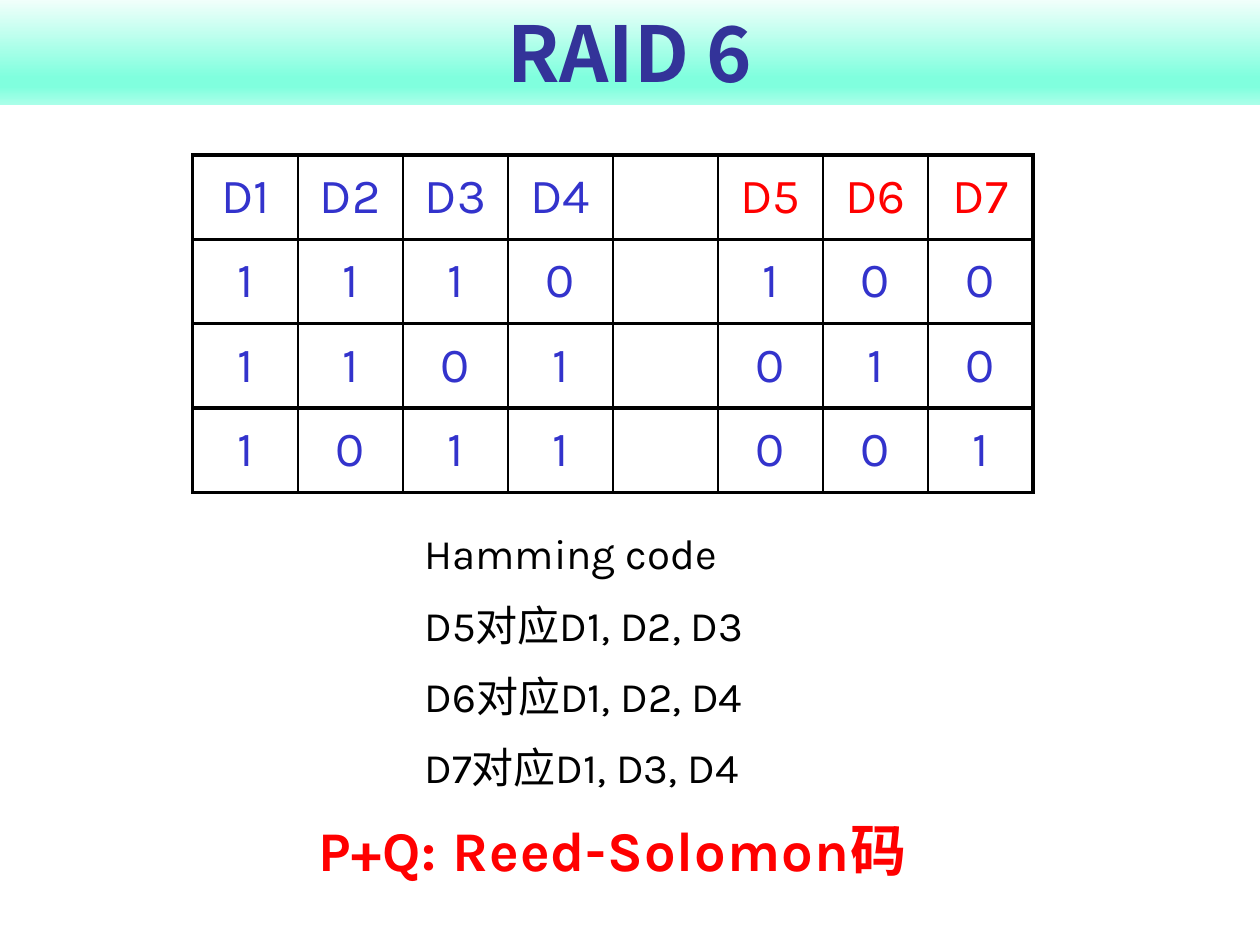
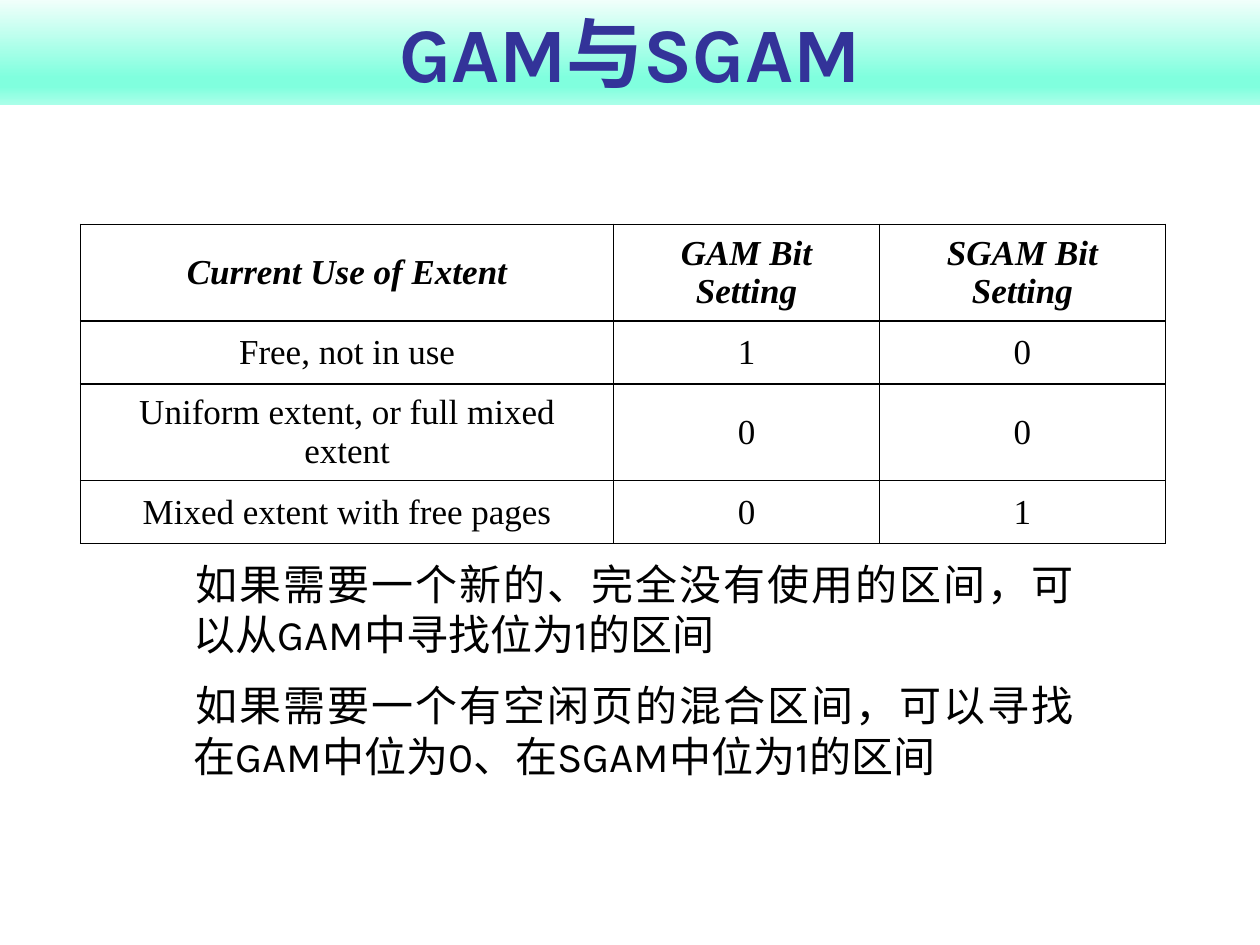
from lxml.etree import SubElement
from pptx import Presentation
from pptx.dml.color import RGBColor
from pptx.enum.shapes import MSO_SHAPE
from pptx.enum.text import MSO_ANCHOR, MSO_AUTO_SIZE, PP_ALIGN
from pptx.oxml.ns import qn
from pptx.util import Inches, Pt

BLACK = RGBColor(0x00, 0x00, 0x00)
RED = RGBColor(0xFF, 0x00, 0x00)
BLUE = RGBColor(0x33, 0x33, 0xCC)
NAVY = RGBColor(0x33, 0x33, 0x99)
MIST = RGBColor(0xF1, 0xFF, 0xFB)
MINT = RGBColor(0x80, 0xFF, 0xDE)
PALE = RGBColor(0xAA, 0xFF, 0xE9)
STOPS = [(0, MIST), (74, MINT), (83, MINT), (100, PALE)]

KARLA = "Karla"
NOTO = "Noto Sans CJK SC"
TIMES = "Times New Roman"

THIN, THICK = 1, 2.25

PARITY = [
    ["D1", "D2", "D3", "D4", "", "D5", "D6", "D7"],
    ["1", "1", "1", "0", "", "1", "0", "0"],
    ["1", "1", "0", "1", "", "0", "1", "0"],
    ["1", "0", "1", "1", "", "0", "0", "1"],
]
CODES = ["Hamming code", "D5对应D1, D2, D3", "D6对应D1, D2, D4", "D7对应D1, D3, D4"]
EXTENTS = [
    ["Current Use of Extent", "GAM Bit Setting", "SGAM Bit Setting"],
    ["Free, not in use", "1", "0"],
    ["Uniform extent, or full mixed extent", "0", "0"],
    ["Mixed extent with free pages", "0", "1"],
]
RULES = [
    "\t如果需要一个新的、完全没有使用的区间，可以从GAM中寻找位为1的区间",
    "\t如果需要一个有空闲页的混合区间，可以寻找在GAM中位为0、在SGAM中位为1的区间",
]


def add_run(para, text, size, font=KARLA, color=BLACK, bold=False, slant=False):
    """Add one styled run, with the East Asian face set as well."""
    run = para.add_run()
    run.text = text
    face = run.font
    face.size, face.name, face.bold, face.italic = Pt(size), font, bold, slant
    face.color.rgb = color
    SubElement(run._r.get_or_add_rPr(), qn("a:ea"), typeface=NOTO)
    return run


def add_title(slide, text, font):
    """Draw the gradient title band across the top."""
    band = slide.shapes.add_shape(
        MSO_SHAPE.RECTANGLE, 0, 0, Inches(10), Inches(0.83))
    band.shadow.inherit = False
    band.line.fill.background()
    band.fill.gradient()
    band.fill.gradient_angle = 270
    stops = band._element.spPr.find(".//" + qn("a:gsLst"))
    stops.clear()
    for place, color in STOPS:
        stop = SubElement(stops, qn("a:gs"), pos=str(place * 1000))
        SubElement(stop, qn("a:srgbClr"), val=str(color))
    frame = band.text_frame
    frame.word_wrap = True
    frame.vertical_anchor = MSO_ANCHOR.BOTTOM
    para = frame.paragraphs[0]
    para.alignment = PP_ALIGN.CENTER
    add_run(para, text, 44, font, NAVY, bold=True)


def add_box(slide, left, top, width, height, wrap=True):
    """Add a text box that grows with its text and return its frame."""
    box = slide.shapes.add_textbox(
        Inches(left), Inches(top), Inches(width), Inches(height))
    frame = box.text_frame
    frame.word_wrap = wrap
    frame.auto_size = MSO_AUTO_SIZE.SHAPE_TO_FIT_TEXT
    return frame


def add_notes(slide, left, top, width, height, lines):
    """Write justified paragraphs with a hanging indent."""
    frame = add_box(slide, left, top, width, height)
    for num, line in enumerate(lines):
        para = frame.add_paragraph() if num else frame.paragraphs[0]
        para.alignment = PP_ALIGN.JUSTIFY
        para.space_before = Pt(12)
        props = para._p.get_or_add_pPr()
        props.set("marL", str(Inches(0.38)))
        props.set("indent", str(-Inches(0.38)))
        add_run(para, line, 24)


def set_edges(cell, left, right, level):
    """Rule the four sides of a cell in black."""
    props = cell._tc.get_or_add_tcPr()
    for side, width in zip("LRTB", (left, right, level, level)):
        line = SubElement(props, qn("a:ln" + side), w=str(Pt(width)))
        fill = SubElement(line, qn("a:solidFill"))
        SubElement(fill, qn("a:srgbClr"), val=str(BLACK))


def add_grid(slide, left, top, widths, height, data, frame, style):
    """Add a ruled table; style gives the run settings for a cell."""
    rows, cols = len(data), len(widths)
    table = slide.shapes.add_table(
        rows, cols, Inches(left), Inches(top),
        Inches(sum(widths)), Inches(height * rows)).table
    table.first_row = table.horz_banding = False
    for col, width in zip(table.columns, widths):
        col.width = Inches(width)
    for r, texts in enumerate(data):
        table.rows[r].height = Inches(height)
        for c, text in enumerate(texts):
            cell = table.cell(r, c)
            set_edges(cell, THIN if c else frame,
                      THIN if c < cols - 1 else frame, frame)
            cell.fill.background()
            cell.vertical_anchor = MSO_ANCHOR.MIDDLE
            para = cell.text_frame.paragraphs[0]
            para.alignment = PP_ALIGN.CENTER
            if text:
                add_run(para, text, **style(r, c))


def bit_style(row, col):
    """Show the check disks' heads in red and the rest in blue."""
    return {"size": 28, "color": RED if row == 0 and col > 4 else BLUE}


def use_style(row, col):
    """Set the head row in bold italics."""
    return {"size": 20, "font": TIMES, "bold": row == 0, "slant": row == 0}


def add_raid(slide):
    """Build the parity slide."""
    add_title(slide, "RAID 6", NOTO)
    add_grid(slide, 1.53, 1.23, [6.67 / 8] * 8, 0.67, PARITY, THICK, bit_style)
    add_notes(slide, 3.27, 4.14, 3.23, 2.3, CODES)
    para = add_box(slide, 2.17, 6.42, 5.38, 0.64, wrap=False).paragraphs[0]
    para.alignment = PP_ALIGN.CENTER
    para.space_before = Pt(16)
    run = add_run(para, "P+Q: Reed-Solomon码", 32, color=RED, bold=True)
    run._r.get_or_add_rPr().set("spc", "50")


def add_maps(slide):
    """Build the extent map slide."""
    add_title(slide, "GAM与SGAM", KARLA)
    add_grid(slide, 0.64, 1.78, [4.23, 2.11, 2.27], 0.5, EXTENTS, THIN, use_style)
    add_notes(slide, 1.06, 4.38, 7.56, 1.9, RULES)


def main():
    """Build both slides and save the deck."""
    deck = Presentation()
    deck.slide_width, deck.slide_height = Inches(10), Inches(7.5)
    for build in (add_raid, add_maps):
        build(deck.slides.add_slide(deck.slide_layouts[6]))
    deck.save("out.pptx")


if __name__ == "__main__":
    main()
